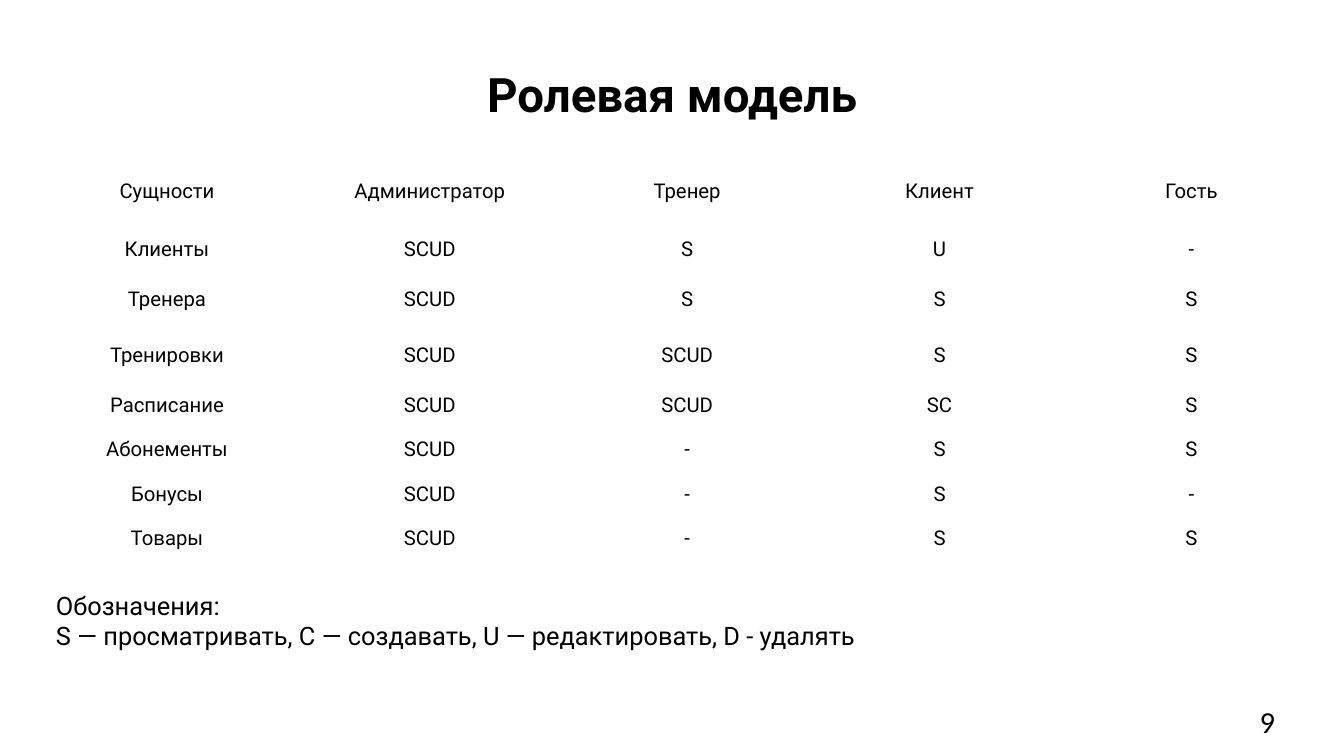
import pptx
import pptx.dml.color
import pptx.enum.text
import pptx.util

Inches = pptx.util.Inches
Pt = pptx.util.Pt
COLORS = {"text": "000000", "background": "FFFFFF"}


def format_paragraph(para, size, font="Roboto", align="LEFT", bold=False):
    para.alignment = pptx.enum.text.PP_ALIGN[align]
    para.font.name = font
    para.font.size = Pt(size)
    para.font.bold = bold
    para.font.color.rgb = pptx.dml.color.RGBColor.from_string(COLORS["text"])


deck = pptx.Presentation()
deck.slide_width = Inches(11.02)
deck.slide_height = Inches(6.2)
page = deck.slides.add_slide(deck.slide_layouts.get_by_name("Title Only"))
page.background.fill.solid()
page.background.fill.fore_color.rgb = pptx.dml.color.RGBColor.from_string(COLORS["background"])

# Title
title = page.shapes.title
title.left, title.top = Inches(0.55), Inches(0.25)
title.width, title.height = Inches(9.92), Inches(1.04)
frame = title.text_frame
frame.text = "Ролевая модель"
frame.auto_size = pptx.enum.text.MSO_AUTO_SIZE.NONE
frame.vertical_anchor = pptx.enum.text.MSO_ANCHOR.MIDDLE
frame.margin_left = frame.margin_right = frame.margin_top = frame.margin_bottom = 0
format_paragraph(frame.paragraphs[0], 28, align="CENTER", bold=True)

# Permissions of each role
permissions = [
    ["Сущности", "Администратор", "Тренер", "Клиент", "Гость"],
    ["Клиенты", "SCUD", "S", "U", "-"],
    ["Тренера", "SCUD", "S", "S", "S"],
    ["Тренировки", "SCUD", "SCUD", "S", "S"],
    ["Расписание", "SCUD", "SCUD", "SC", "S"],
    ["Абонементы", "SCUD", "-", "S", "S"],
    ["Бонусы", "SCUD", "-", "S", "-"],
    ["Товары", "SCUD", "-", "S", "S"],
]
column_widths = [2.12, 2.19, 2.03, 2.11, 2.02]
row_heights = [0.48, 0.41, 0.46, 0.41, 0.36, 0.37, 0.36, 0.36]

table = page.shapes.add_table(
    len(row_heights), len(column_widths),
    Inches(0.31), Inches(1.42), Inches(sum(column_widths)), Inches(sum(row_heights)),
).table
table.first_row = False
table.horz_banding = False
for column, width in zip(table.columns, column_widths):
    column.width = Inches(width)
for row, height, values in zip(table.rows, row_heights, permissions):
    row.height = Inches(height)
    for cell, value in zip(row.cells, values):
        cell.text = value
        cell.fill.background()
        format_paragraph(cell.text_frame.paragraphs[0], 12, align="CENTER")

# Legend and page number
legend = "Обозначения:\vS — просматривать, C — создавать, U — редактировать, D - удалять"
for text, left, top, width, height, size, font in [
    (legend, 0.36, 4.79, 7.32, 0.94, 15, "Roboto"),
    ("9", 10.23, 5.72, 0.6, 0.47, 18, "Calibri"),
]:
    box = page.shapes.add_textbox(Inches(left), Inches(top), Inches(width), Inches(height))
    box.text_frame.word_wrap = True
    box.text_frame.text = text
    format_paragraph(box.text_frame.paragraphs[0], size, font)

deck.save("out.pptx")
